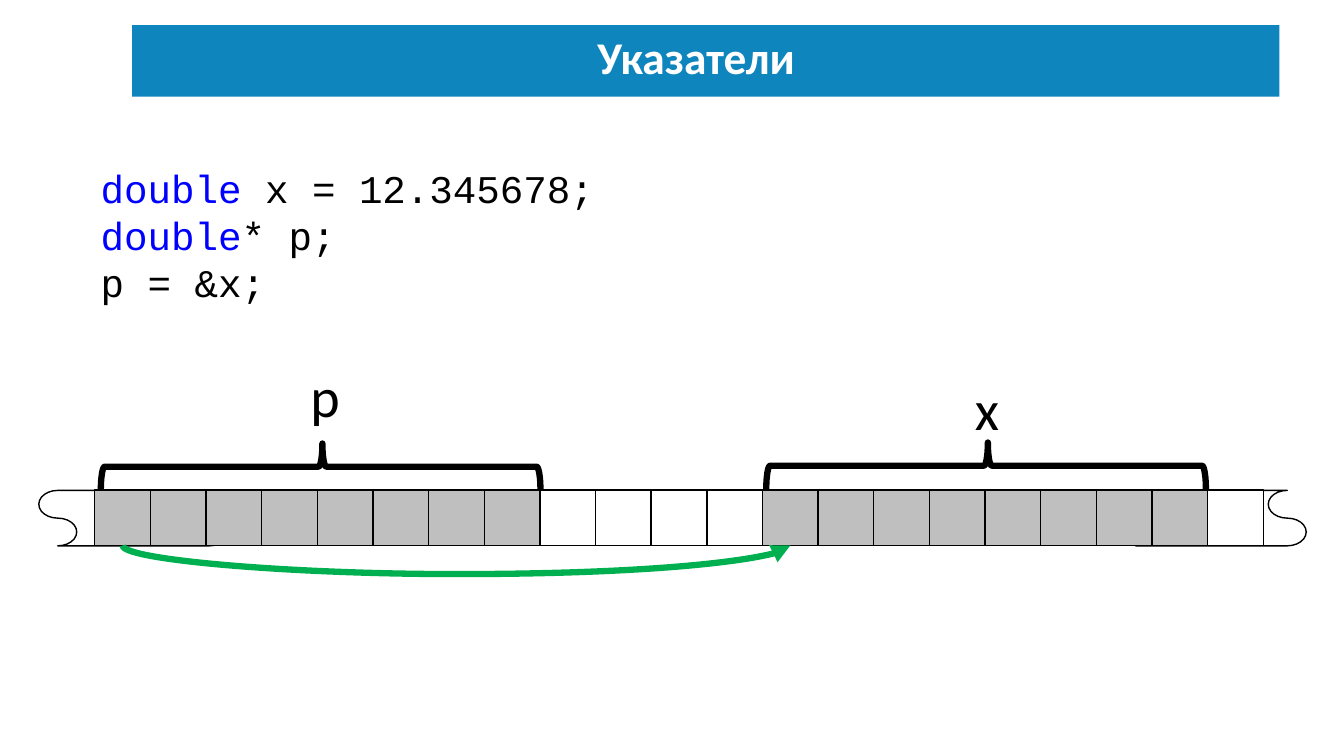
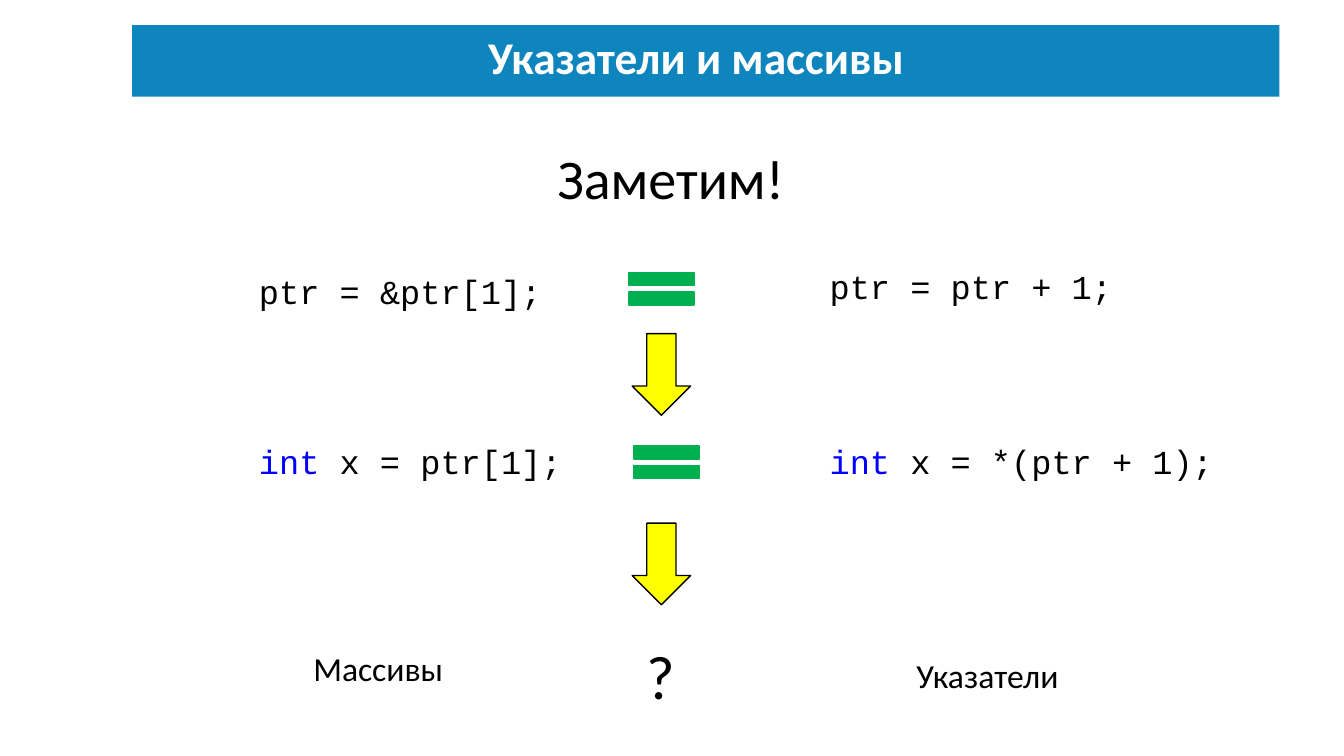
import pptx
import pptx.dml.color
import pptx.enum.shapes
import pptx.enum.text
import pptx.oxml
import pptx.util

Inches = pptx.util.Inches
Pt = pptx.util.Pt
RGBColor = pptx.dml.color.RGBColor
SHAPE = pptx.enum.shapes.MSO_SHAPE
CONNECTOR = pptx.enum.shapes.MSO_CONNECTOR
ALIGN = pptx.enum.text.PP_ALIGN
ANCHOR = pptx.enum.text.MSO_ANCHOR
AUTO_SIZE = pptx.enum.text.MSO_AUTO_SIZE

BAND = RGBColor(0x0F, 0x85, 0xBE)
BLACK = RGBColor(0, 0, 0)
WHITE = RGBColor(0xFF, 0xFF, 0xFF)
GRAY = RGBColor(0xBF, 0xBF, 0xBF)
BLUE = RGBColor(0, 0, 0xFF)
GREEN = RGBColor(0, 0xB0, 0x50)
YELLOW = RGBColor(0xFF, 0xFF, 0)
SANS = "Calibri"
MONO = "Courier New"

DECLARATIONS = [("double", " x = 12.345678;"), ("double", "* p;"), ("", "p = &x;")]
VARIABLES = [
    {"name": "p", "first": 0, "label": (2.98, 3.54), "brace": (2.95, 2.45)},
    {"name": "x", "first": 12, "label": (9.57, 3.67), "brace": (9.55, 2.44)},
]
CELL_COUNT = 21
VARIABLE_CELLS = 8
MEMORY_LEFT, MEMORY_RIGHT, MEMORY_TOP = 0.94, 12.53, 4.86
CELL = (MEMORY_RIGHT - MEMORY_LEFT) / CELL_COUNT
TAPE_LEFTS = [1.05, 11.74]
POINTER_DEPTH = 0.25

CODE_PAIRS = [
    ((2.47, 2.64), ("", "ptr = &ptr[1];")),
    ((8.13, 2.59), ("", "ptr = ptr + 1;")),
    ((2.47, 4.33), ("int", " x = ptr[1];")),
    ((8.13, 4.33), ("int", " x = *(ptr + 1);")),
]
EQUALS = [(6.12, 2.59), (6.17, 4.31)]
ARROW_TOPS = [3.31, 5.19]
REMARKS = [
    ("Заметим!", (5.43, 1.37, 2.47, 0.77), 40),
    ("Массивы", (3.01, 6.38, 1.5, 0.5), 24),
    ("Указатели", (8.99, 6.45, 3, 0.5), 24),
    ("?", (6.31, 6.28, 0.49, 0.84), 44),
]


def write(sp, lines, size=24, font=SANS, color=BLACK, bold=False, align=None, spacing=None):
    tf = sp.text_frame
    for i, line in enumerate(lines):
        p = tf.add_paragraph() if i else tf.paragraphs[0]
        p.alignment = align
        p.line_spacing = spacing
        keyword, rest = line
        for text, run_color in ((keyword, BLUE), (rest, color)):
            if text:
                r = p.add_run()
                r.text = text
                r.font.size = Pt(size)
                r.font.name = font
                r.font.bold = bold
                r.font.color.rgb = run_color


def add_text(s, box, lines, **text_format):
    sp = s.shapes.add_textbox(*map(Inches, box))
    sp.text_frame.word_wrap = True
    write(sp, lines, **text_format)


def add_shape(s, kind, box, fill=None, line=None, width=1, rotation=0):
    sp = s.shapes.add_shape(kind, *map(Inches, box))
    sp.shadow.inherit = False
    sp.rotation = rotation
    if fill is None:
        sp.fill.background()
    else:
        sp.fill.solid()
        sp.fill.fore_color.rgb = fill
    if line is None:
        sp.line.fill.background()
    else:
        sp.line.color.rgb = line
        sp.line.width = Pt(width)
    return sp


def add_title_slide(prs, layout, title):
    s = prs.slides.add_slide(layout)
    sp = s.shapes.title
    sp.text_frame.auto_size = AUTO_SIZE.NONE
    sp.text_frame.vertical_anchor = ANCHOR.MIDDLE
    write(sp, [("", title)], size=32.4, color=WHITE, bold=True, align=ALIGN.CENTER, spacing=0.9)
    return s


def set_up_layout(layout, s):
    title = layout.placeholders[0]
    title.left, title.top, title.width, title.height = map(Inches, (1.31, 0.32, 11.19, 0.55))
    band = add_shape(s, SHAPE.RECTANGLE, (1.31, 0.25, 11.38, 0.71), fill=BAND)
    layout.shapes.element.insert(2, band.element)


def add_pointer(s, start, end, y, depth):
    middle, half = Inches((start + end) / 2), Inches((end - start) / 2)
    thickness = Pt(0.1)
    line = s.shapes.add_connector(
        CONNECTOR.CURVE, middle + thickness, Inches(y) + half, middle, Inches(y) - half)
    line.line.color.rgb = GREEN
    line.line.width = Pt(4.5)
    props = line.element.spPr
    props.find(pptx.oxml.ns.qn("a:xfrm")).set("rot", "5400000")
    guides = props.find(pptx.oxml.ns.qn("a:prstGeom")).find(pptx.oxml.ns.qn("a:avLst"))
    guide = pptx.oxml.xmlchemy.OxmlElement("a:gd")
    guide.set("name", "adj1")
    guide.set("fmla", f"val {-round(Inches(depth) / thickness * 100000)}")
    guides.append(guide)
    tail = pptx.oxml.xmlchemy.OxmlElement("a:tailEnd")
    tail.set("type", "triangle")
    line.line._get_or_add_ln().append(tail)
    props.append(pptx.oxml.xmlchemy.OxmlElement("a:effectLst"))


def draw_memory(s):
    for left in TAPE_LEFTS:
        add_shape(s, SHAPE.FLOWCHART_PUNCHED_TAPE, (left, 4.2, 0.55, 1.88),
                  fill=WHITE, line=BLACK, rotation=270)
    used = {v["first"] + i for v in VARIABLES for i in range(VARIABLE_CELLS)}
    for i in range(CELL_COUNT):
        add_shape(s, SHAPE.RECTANGLE, (MEMORY_LEFT + i * CELL, MEMORY_TOP, CELL, CELL),
                  fill=GRAY if i in used else WHITE, line=BLACK)
    for v in VARIABLES:
        brace = add_shape(s, SHAPE.LEFT_BRACE, (*v["brace"], 0.46, 4.36),
                          line=BLACK, width=4.5, rotation=90)
        brace.adjustments[0], brace.adjustments[1] = 0.083, 0.496
        add_text(s, (*v["label"], 0.7, 0.77), [("", v["name"])], size=40)
    start, end = (MEMORY_LEFT + (v["first"] + 0.5) * CELL for v in VARIABLES)
    add_pointer(s, start, end, MEMORY_TOP + CELL, POINTER_DEPTH)


def draw_equivalence(s):
    for place, line in CODE_PAIRS:
        add_text(s, (*place, 4.19, 0.5), [line], font=MONO)
    for place in EQUALS:
        add_shape(s, SHAPE.MATH_EQUAL, (*place, 0.88, 0.55), fill=GREEN, line=GREEN)
    for top in ARROW_TOPS:
        add_shape(s, SHAPE.DOWN_ARROW, (6.27, top, 0.58, 0.81), fill=YELLOW, line=BLACK)
    for text, box, size in REMARKS:
        add_text(s, box, [("", text)], size=size)


def main():
    prs = pptx.Presentation()
    prs.slide_width, prs.slide_height = Inches(13.33), Inches(7.5)
    layout = prs.slide_layouts.get_by_name("Title Only")

    s = add_title_slide(prs, layout, "Указатели")
    set_up_layout(layout, s)
    add_text(s, (0.9, 1.58, 6.67, 1.51), DECLARATIONS, size=28, font=MONO)
    draw_memory(s)

    s = add_title_slide(prs, layout, "Указатели и массивы")
    draw_equivalence(s)

    prs.save("out.pptx")


if __name__ == "__main__":
    main()
